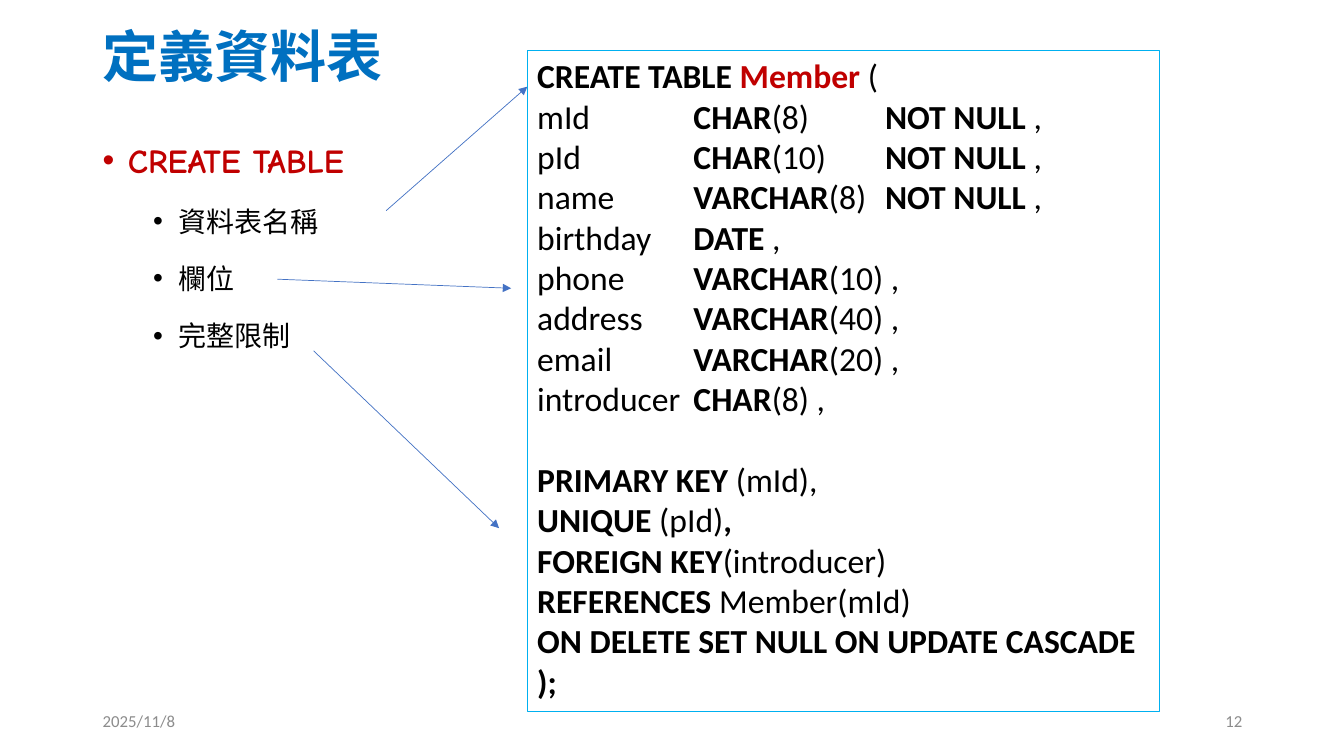
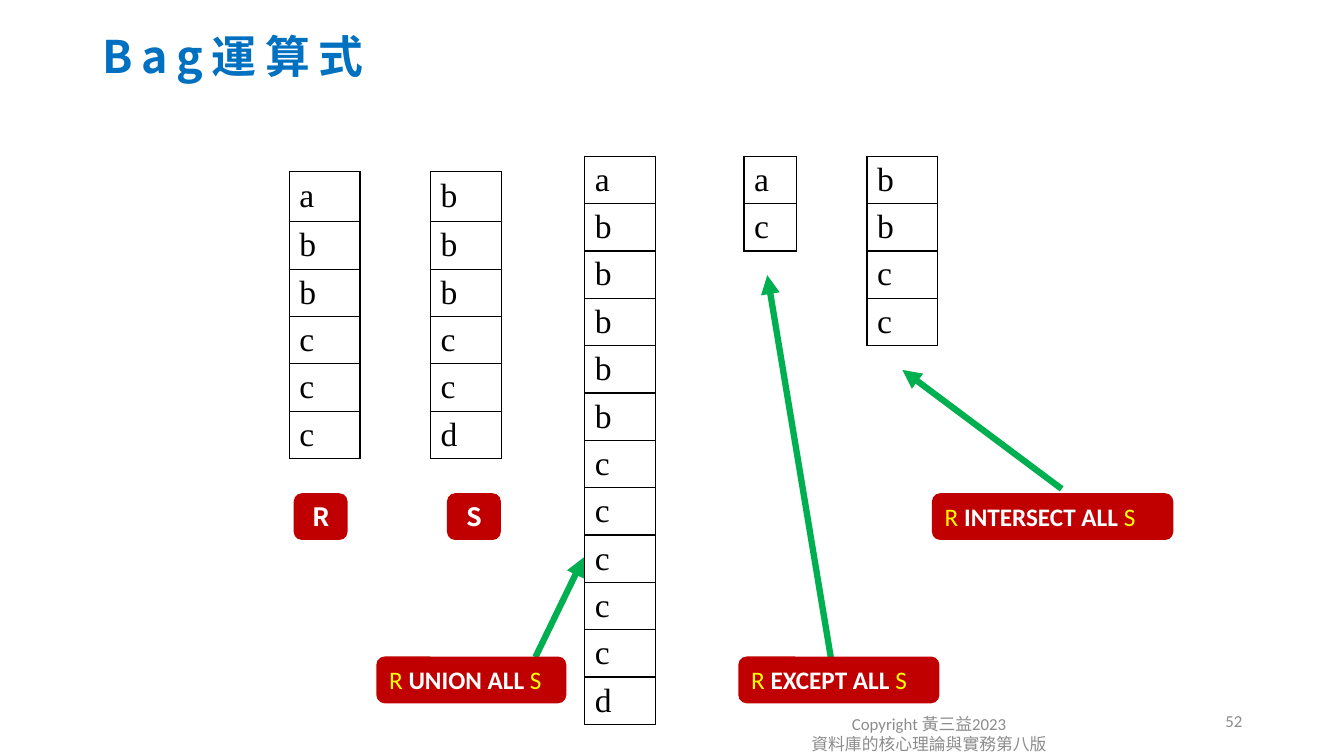
from dataclasses import dataclass

import pptx
import pptx.dml.color
import pptx.enum.shapes
import pptx.enum.text
import pptx.oxml
import pptx.oxml.ns
import pptx.util
from lxml import etree

Inches = pptx.util.Inches
Pt = pptx.util.Pt
Align = pptx.enum.text.PP_ALIGN
Anchor = pptx.enum.text.MSO_ANCHOR
Preset = pptx.enum.shapes.MSO_SHAPE
qn = pptx.oxml.ns.qn


@dataclass(frozen=True)
class Theme:
    title_color: str = "0070C0"
    accent: str = "C00000"
    ink: str = "000000"
    muted: str = "8C8C8C"
    white: str = "FFFFFF"
    yellow: str = "FFFF00"
    frame: str = "00B0F0"
    thin_arrow: str = "4472C4"
    thick_arrow: str = "00B050"
    body_font: str = "Calibri"
    display_font: str = "Comic Neue"
    sans_font: str = "Noto Sans CJK SC"
    table_font: str = "Times New Roman"
    title_size: int = 40
    small_title_size: int = 32
    large_size: int = 24
    item_size: int = 20
    label_size: int = 18
    footer_size: int = 12


@dataclass(frozen=True)
class Box:
    left: float
    top: float
    width: float
    height: float

    def lengths(self):
        return [Inches(v) for v in (self.left, self.top, self.width, self.height)]


THEME = Theme()
SLIDE_SIZE = (13.33, 7.5)
TITLE_BOX = Box(0.92, 0.09, 11.5, 1)
DATE_BOX = Box(0.92, 6.95, 3, 0.4)
NUMBER_BOX = Box(9.42, 6.95, 3, 0.4)
LABEL_HEIGHT = 0.45
ROW_HEIGHT = 0.47
CELL_MARGIN = 0.03

CREATE_TABLE_ITEMS = ["資料表名稱", "欄位", "完整限制"]
COLUMN_DEFINITIONS = [
    ("mId", "CHAR", "(8)", True),
    ("pId", "CHAR", "(10)", True),
    ("name", "VARCHAR", "(8)", True),
    ("birthday", "DATE", "", False),
    ("phone", "VARCHAR", "(10)", False),
    ("address", "VARCHAR", "(40)", False),
    ("email", "VARCHAR", "(20)", False),
    ("introducer", "CHAR", "(8)", False),
]
CONSTRAINTS = [
    [("PRIMARY KEY", True), (" (mId),", False)],
    [("UNIQUE", True), (" (pId)", False), (",", True)],
    [("FOREIGN KEY", True), ("(introducer)", False)],
    [("REFERENCES ", True), ("Member(mId)", False)],
    [("ON DELETE SET NULL ON UPDATE CASCADE", True)],
    [(");", True)],
]


def rgb(color):
    return pptx.dml.color.RGBColor.from_string(color)


def format_run(run, size, font, color, bold=False):
    run.font.size = Pt(size)
    run.font.name = font
    run.font.bold = bold
    run.font.color.rgb = rgb(color)
    east_asian = etree.SubElement(run.font._element, qn("a:ea"))
    east_asian.set("typeface", font)


def format_paragraph(paragraph, *style, **options):
    for run in paragraph.runs:
        format_run(run, *style, **options)


def add_runs(paragraph, pieces, size, font):
    """Append (text, color, bold) pieces."""
    for text, color, bold in pieces:
        run = paragraph.add_run()
        run.text = text
        format_run(run, size, font, color, bold)


def add_text_box(slide, box, text, anchor=Anchor.TOP):
    text_frame = slide.shapes.add_textbox(*box.lengths()).text_frame
    text_frame.word_wrap = True
    text_frame.vertical_anchor = anchor
    text_frame.text = text
    return text_frame


def add_title(slide, text, size, font, spacing=0):
    paragraph = add_text_box(slide, TITLE_BOX, text, Anchor.MIDDLE).paragraphs[0]
    paragraph.line_spacing = 0.9
    format_paragraph(paragraph, size, font, THEME.title_color, bold=True)
    if spacing:
        for run in paragraph.runs:
            run.font._element.set("spc", str(spacing * 100))


def add_footer(slide, box, text, alignment):
    for paragraph in add_text_box(slide, box, text, Anchor.MIDDLE).paragraphs:
        paragraph.alignment = alignment
        format_paragraph(paragraph, THEME.footer_size, THEME.body_font, THEME.muted)


def add_arrow(slide, start, end, color, width):
    connector = slide.shapes.add_connector(
        pptx.enum.shapes.MSO_CONNECTOR.STRAIGHT,
        *[Inches(v) for v in (*start, *end)])
    connector.line.color.rgb = rgb(color)
    connector.line.width = Pt(width)
    etree.SubElement(connector.line._get_or_add_ln(), qn("a:tailEnd"), type="triangle")
    etree.SubElement(connector._element.spPr, qn("a:effectLst"))


def add_panel(slide, box, preset, line_color, line_width, fill=None):
    shape = slide.shapes.add_shape(preset, *box.lengths())
    shape.shadow.inherit = False
    shape.line.color.rgb = rgb(line_color)
    shape.line.width = Pt(line_width)
    if fill:
        shape.fill.solid()
        shape.fill.fore_color.rgb = rgb(fill)
    else:
        shape.fill.background()
    return shape


def set_bullet(paragraph, margin):
    properties = paragraph._p.get_or_add_pPr()
    properties.set("marL", str(Inches(margin)))
    properties.set("indent", str(Inches(-0.25)))
    etree.SubElement(properties, qn("a:buFont"), typeface="Arial")
    etree.SubElement(properties, qn("a:buChar"), char="•")


def add_outline(slide, box, heading, items):
    text_frame = add_text_box(slide, box, "\n".join([heading, *items]))
    for index, paragraph in enumerate(text_frame.paragraphs):
        is_heading = index == 0
        paragraph.level = 0 if is_heading else 1
        paragraph.line_spacing = 1.5
        paragraph.space_before = Pt(10 if is_heading else 5)
        set_bullet(paragraph, 0.25 if is_heading else 0.75)
        format_paragraph(
            paragraph,
            THEME.large_size if is_heading else THEME.item_size,
            THEME.display_font,
            THEME.accent if is_heading else THEME.ink,
            bold=is_heading)


def set_tab_stops(paragraph, positions):
    tab_list = etree.SubElement(paragraph._p.get_or_add_pPr(), qn("a:tabLst"))
    for position in positions:
        etree.SubElement(tab_list, qn("a:tab"), pos=str(Inches(position)), algn="l")


def column_pieces(name, data_type, length, required):
    pieces = [(name + "\t", False), (data_type, True)]
    if required:
        return pieces + [(length + "\t", False), ("NOT NULL ", True), (",", False)]
    return pieces + [(length + " ,", False)]


def add_code_panel(slide, box):
    shape = add_panel(slide, box, Preset.RECTANGLE, THEME.frame, 0.75)
    text_frame = shape.text_frame
    text_frame.word_wrap = False
    text_frame.vertical_anchor = Anchor.TOP
    opening = [[("CREATE TABLE ", True), ("Member ", True), ("(", False)]]
    columns = [column_pieces(*definition) for definition in COLUMN_DEFINITIONS]
    first_constraint = len(opening + columns)
    for index, pieces in enumerate(opening + columns + CONSTRAINTS):
        paragraph = text_frame.add_paragraph() if index else text_frame.paragraphs[0]
        paragraph.alignment = Align.LEFT
        if index == first_constraint:
            paragraph.space_before = Pt(29)
        set_tab_stops(paragraph, [1.55, 3.45])
        colored = [(text, THEME.accent if text == "Member " else THEME.ink, bold)
                   for text, bold in pieces]
        add_runs(paragraph, colored, THEME.large_size, THEME.body_font)


def set_borders(cell, sides):
    """Draw the sides marked true and clear the others."""
    properties = cell._tc.get_or_add_tcPr()
    for position, (side, visible) in enumerate(sides.items()):
        line = etree.Element(qn("a:" + side), w=str(Pt(1)))
        if visible:
            fill = etree.SubElement(line, qn("a:solidFill"))
            etree.SubElement(fill, qn("a:srgbClr"), val=THEME.ink)
        else:
            etree.SubElement(line, qn("a:noFill"))
        properties.insert(position, line)


def add_bags(slide, left, top, columns, first_row=ROW_HEIGHT):
    """Draw bags side by side; columns holds (width, letters), with no letters for a gap."""
    row_count = max(len(letters) for _, letters in columns)
    heights = [first_row] + [ROW_HEIGHT] * (row_count - 1)
    box = Box(left, top, sum(width for width, _ in columns), sum(heights))
    table = slide.shapes.add_table(row_count, len(columns), *box.lengths()).table
    table.first_row = False
    table.horz_banding = False
    for row, height in zip(table.rows, heights):
        row.height = Inches(height)

    def filled(row, column):
        return 0 <= column < len(columns) and 0 <= row < len(columns[column][1])

    for c, (width, letters) in enumerate(columns):
        table.columns[c].width = Inches(width)
        for r in range(row_count):
            cell = table.cell(r, c)
            cell.fill.background()
            cell.margin_top = cell.margin_bottom = Inches(CELL_MARGIN)
            cell.vertical_anchor = Anchor.MIDDLE
            here = filled(r, c)
            set_borders(cell, {
                "lnL": here or filled(r, c - 1),
                "lnR": here or filled(r, c + 1),
                "lnT": here or filled(r - 1, c),
                "lnB": here or filled(r + 1, c),
            })
            if here:
                cell.text_frame.text = letters[r]
                format_paragraph(cell.text_frame.paragraphs[0],
                                 THEME.large_size, THEME.table_font, THEME.ink)
            else:
                cell.text_frame.paragraphs[0].font.size = Pt(THEME.footer_size)


def add_label(slide, box, pieces, font, alignment):
    shape = add_panel(slide, box, Preset.ROUNDED_RECTANGLE, THEME.accent, 1, THEME.accent)
    shape.text_frame.vertical_anchor = Anchor.MIDDLE
    paragraph = shape.text_frame.paragraphs[0]
    paragraph.alignment = alignment
    add_runs(paragraph, pieces, THEME.label_size, font)


def build_table_definition(slide):
    add_title(slide, "定義資料表", THEME.title_size, THEME.display_font)
    add_outline(slide, Box(0.92, 1.14, 11.5, 5.61), "CREATE TABLE", CREATE_TABLE_ITEMS)
    add_code_panel(slide, Box(5.23, 0.5, 6.27, 6.56))
    add_footer(slide, DATE_BOX, "2025/11/8", Align.LEFT)
    add_footer(slide, NUMBER_BOX, "12", Align.RIGHT)
    for start, end in [((3.83, 2.09), (5.23, 0.86)),
                       ((2.75, 2.77), (5.07, 2.86)),
                       ((3.11, 3.48), (4.95, 5.24))]:
        add_arrow(slide, start, end, THEME.thin_arrow, 0.5)


def build_bag_operations(slide):
    add_footer(slide, Box(7.63, 7.08, 3.17, 0.4),
               "Copyright 黃三益2023\n資料庫的核心理論與實務第八版", Align.CENTER)
    add_title(slide, "Bag運算式", THEME.small_title_size, THEME.sans_font, spacing=6)
    add_footer(slide, NUMBER_BOX, "52", Align.RIGHT)
    add_bags(slide, 2.87, 1.7, [(0.7, "abbccc"), (0.7, ""), (0.7, "bbbccd")], first_row=0.5)
    add_bags(slide, 5.8, 1.55,
             [(0.7, "abbbbbcccccd"), (0.88, ""), (0.52, "ac"), (0.7, ""), (0.7, "bbcc")])
    for start, end in [((5.31, 6.52), (5.79, 5.53)),
                       ((8.24, 6.52), (7.61, 2.73)),
                       ((10.53, 4.85), (8.95, 3.67))]:
        add_arrow(slide, start, end, THEME.thick_arrow, 4.5)
    for name, left in [("R", 2.92), ("S", 4.44)]:
        add_label(slide, Box(left, 4.9, 0.52, LABEL_HEIGHT),
                  [(name, THEME.white, True)], THEME.sans_font, Align.CENTER)
    for operator, left, top, width in [("UNION ALL ", 3.74, 6.52, 1.87),
                                       ("EXCEPT ALL ", 7.33, 6.52, 1.98),
                                       ("INTERSECT ALL ", 9.25, 4.9, 2.38)]:
        pieces = [("R ", THEME.yellow, False), (operator, THEME.white, True),
                  ("S", THEME.yellow, False)]
        add_label(slide, Box(left, top, width, LABEL_HEIGHT),
                  pieces, THEME.body_font, Align.LEFT)


def main():
    presentation = pptx.Presentation()
    presentation.slide_width, presentation.slide_height = map(Inches, SLIDE_SIZE)
    blank_layout = presentation.slide_layouts[6]
    for build in (build_table_definition, build_bag_operations):
        build(presentation.slides.add_slide(blank_layout))
    presentation.save("out.pptx")


if __name__ == "__main__":
    main()
